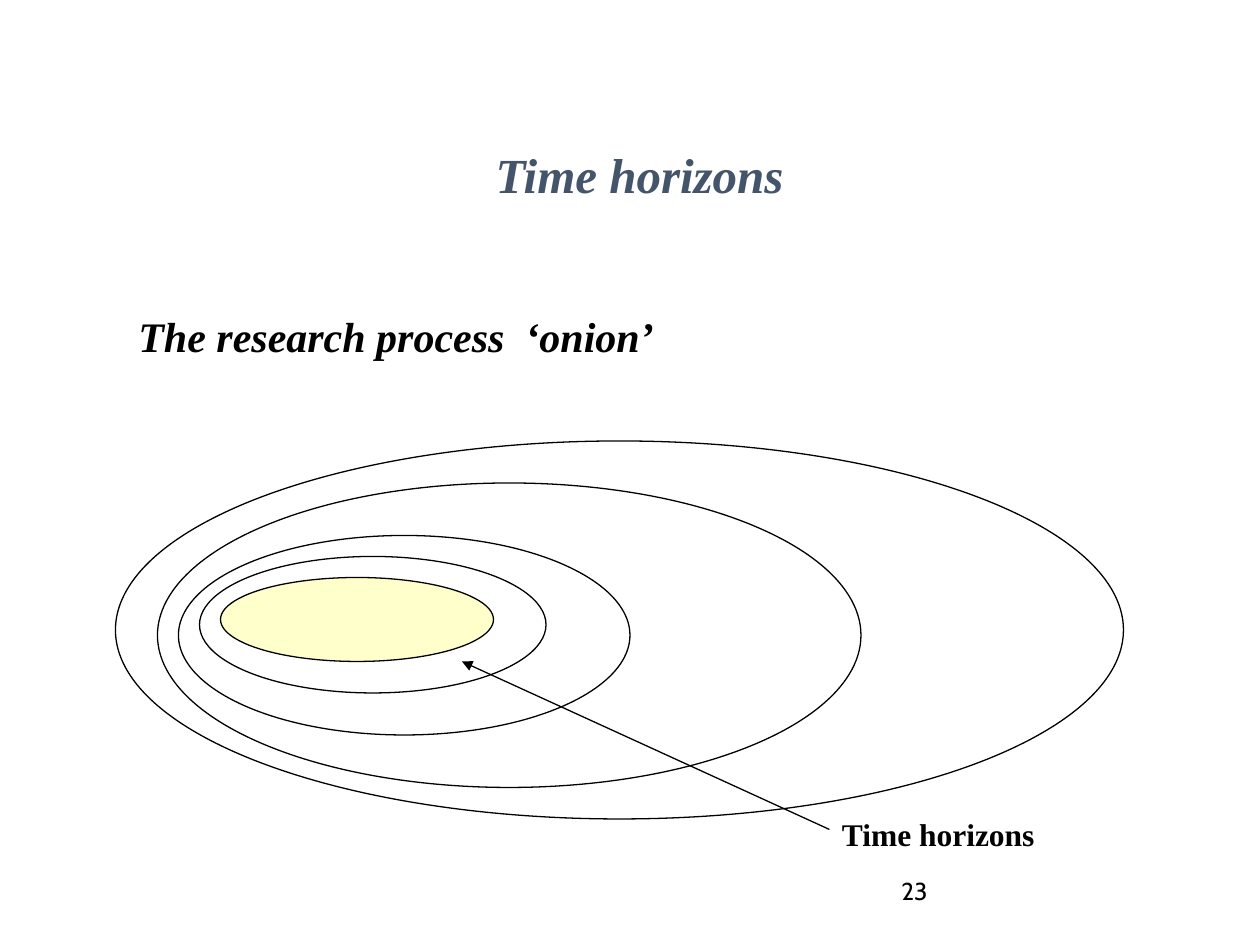
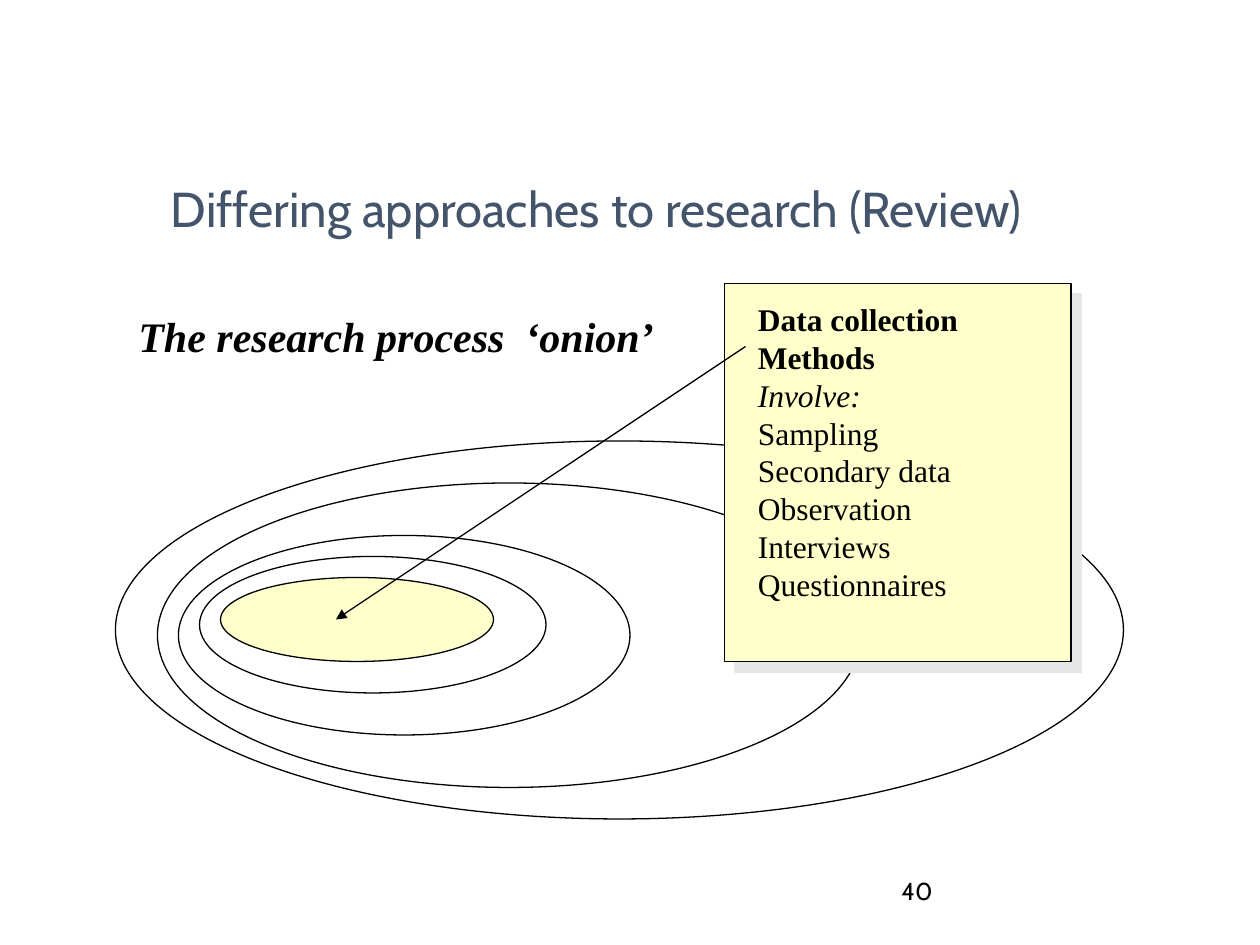
from lxml.etree import SubElement
from pptx import Presentation
from pptx.dml.color import RGBColor
from pptx.enum.shapes import MSO_CONNECTOR, MSO_SHAPE
from pptx.enum.text import MSO_ANCHOR, MSO_AUTO_SIZE, PP_ALIGN
from pptx.oxml.ns import qn
from pptx.util import Pt

INK, SLATE, CREAM, SHADE = "000000", "44546A", "FFFFCC", "E7E6E6"
SERIF, SANS = "Times New Roman", "Cabin"

ONION_HEADING = "The research process  ‘onion’"
ONION_RINGS = [
    (66, 252, 576, 216),
    (90, 276, 402, 174),
    (102, 306, 258, 114),
    (114, 318, 198, 78),
]
ONION_CORE = (126, 330, 156, 48)
METHODS_PANEL = (414, 162, 198, 216)

SLIDES = [
    {
        "number": "23",
        "title": [(" ", 44, SERIF, ""), ("Time horizons", 28, SERIF, "bi")],
        "title_box": (54, 48, 612, 90),
        "title_anchor": MSO_ANCHOR.MIDDLE,
        "title_align": PP_ALIGN.CENTER,
        "panel": None,
        "label": [("Time horizons", "b")],
        "label_box": (474, 462, 125, 28.8),
        "label_wraps": False,
        "arrow": (474, 474, 264, 378),
    },
    {
        "number": "40",
        "title": [("Differing approaches to research (Review)", 28, SANS, "")],
        "title_box": (90.5, 49, 613.5, 90),
        "title_anchor": MSO_ANCHOR.BOTTOM,
        "title_align": PP_ALIGN.LEFT,
        "panel": METHODS_PANEL,
        "label": [
            ("Data collection", "b"),
            ("Methods", "b"),
            ("Involve:", "i"),
            ("Sampling", ""),
            ("Secondary data", ""),
            ("Observation", ""),
            ("Interviews", ""),
            ("Questionnaires", ""),
        ],
        "label_box": (426, 168, 225, 201.6),
        "label_wraps": True,
        "arrow": (426, 198, 192, 354),
    },
]


def rgb(code):
    return RGBColor.from_string(code)


def points(values):
    return [Pt(value) for value in values]


def add_run(paragraph, text, size, font, style="", color=INK):
    run = paragraph.add_run()
    run.text = text
    run.font.size = Pt(size)
    run.font.name = font
    run.font.bold = "b" in style
    run.font.italic = "i" in style
    run.font.color.rgb = rgb(color)


def add_text(slide, box, lines, size, font, wraps=False, pitch=None):
    frame = slide.shapes.add_textbox(*points(box)).text_frame
    frame.word_wrap = wraps
    frame.auto_size = MSO_AUTO_SIZE.NONE if wraps else MSO_AUTO_SIZE.SHAPE_TO_FIT_TEXT
    for index, (text, style) in enumerate(lines):
        paragraph = frame.add_paragraph() if index else frame.paragraphs[0]
        if pitch:
            paragraph.line_spacing = Pt(size * pitch)
        add_run(paragraph, text, size, font, style)


def add_outline(slide, kind, box, fill=None):
    outline = slide.shapes.add_shape(kind, *points(box))
    outline.shadow.inherit = False
    outline.line.color.rgb = rgb(INK)
    outline.line.width = Pt(0.75)
    if fill:
        outline.fill.solid()
        outline.fill.fore_color.rgb = rgb(fill)
    else:
        outline.fill.background()
    return outline


def add_panel(slide, box):
    panel = add_outline(slide, MSO_SHAPE.RECTANGLE, box, CREAM)
    effects = panel._element.spPr.find(qn("a:effectLst"))
    shadow = SubElement(effects, qn("a:outerShdw"), dist=str(Pt(8.5)),
                        dir=str(45 * 60000), algn="ctr", rotWithShape="0")
    SubElement(shadow, qn("a:srgbClr"), val=SHADE)


def add_arrow(slide, ends):
    arrow = slide.shapes.add_connector(MSO_CONNECTOR.STRAIGHT, *points(ends))
    arrow.line.color.rgb = rgb(INK)
    arrow.line.width = Pt(0.75)
    SubElement(arrow.line._get_or_add_ln(), qn("a:tailEnd"), type="triangle")
    SubElement(arrow._element.spPr, qn("a:effectLst"))


def set_title(slide, content):
    title = slide.shapes.title
    title.left, title.top, title.width, title.height = points(content["title_box"])
    frame = title.text_frame
    frame.auto_size = MSO_AUTO_SIZE.NONE
    frame.vertical_anchor = content["title_anchor"]
    paragraph = frame.paragraphs[0]
    paragraph.alignment = content["title_align"]
    for text, size, font, style in content["title"]:
        add_run(paragraph, text, size, font, style, SLATE)


def add_onion(slide):
    for ring in ONION_RINGS:
        add_outline(slide, MSO_SHAPE.OVAL, ring)
    add_outline(slide, MSO_SHAPE.OVAL, ONION_CORE, CREAM)
    add_text(slide, (72, 174, 309.6, 36), [(ONION_HEADING, "bi")], 24, SERIF, pitch=1.2)


def main():
    deck = Presentation()
    deck.slide_width, deck.slide_height = points((720, 540))
    for content in SLIDES:
        slide = deck.slides.add_slide(deck.slide_layouts[5])
        set_title(slide, content)
        add_text(slide, (508, 497, 162, 28.8), [(content["number"], "")], 14, SANS, True)
        add_onion(slide)
        if content["panel"]:
            add_panel(slide, content["panel"])
        add_text(slide, content["label_box"], content["label"], 18, SERIF,
                 content["label_wraps"], 1.2)
        add_arrow(slide, content["arrow"])
    deck.save("out.pptx")


if __name__ == "__main__":
    main()
